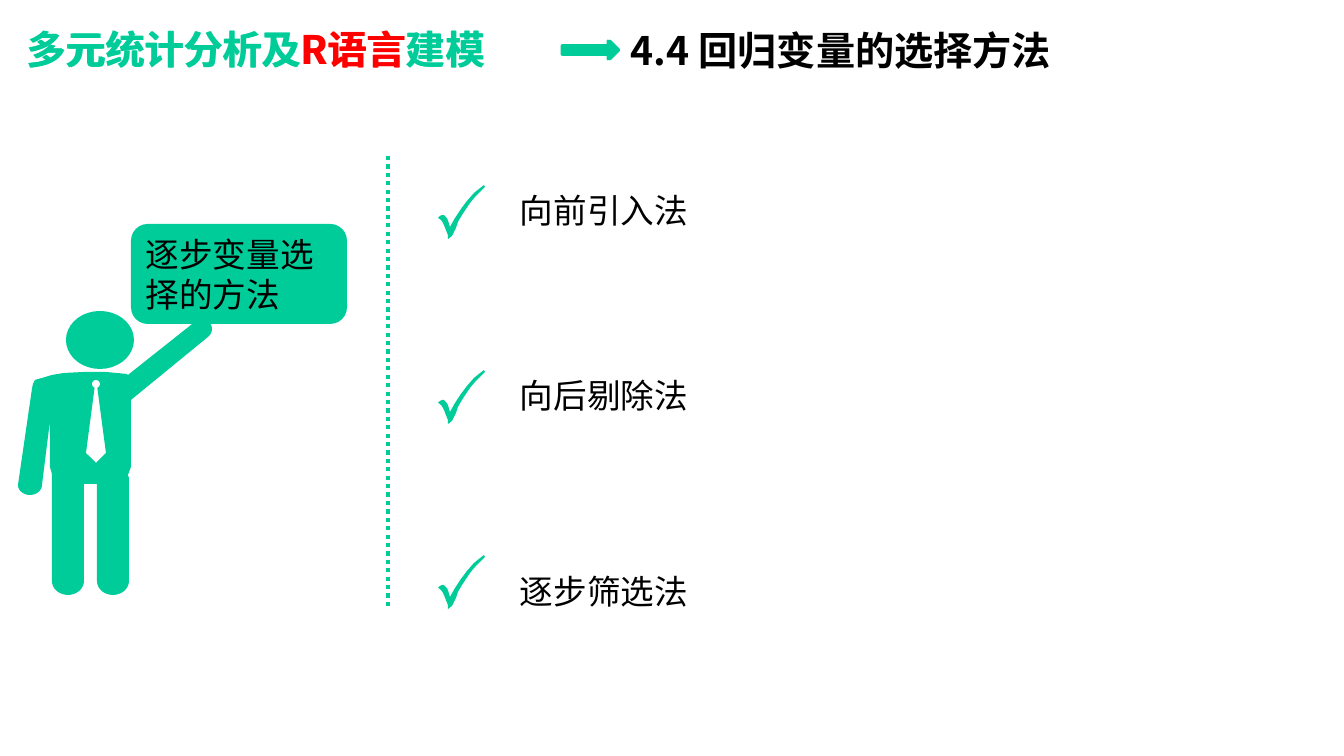
import math
from dataclasses import dataclass

import pptx
import pptx.dml.color
import pptx.enum.dml
import pptx.enum.shapes
import pptx.enum.text
import pptx.oxml
import pptx.oxml.ns
import pptx.util

PX = 914400 / 100.8
FONT = "Noto Sans CJK SC"
GREEN, RED, BLACK = "00CC99", "FF0000", "000000"
SHAPES = pptx.enum.shapes.MSO_SHAPE

Point = tuple[float, float]


@dataclass
class Run:
    text: str
    color: str = BLACK


@dataclass
class Method:
    name: str
    check_top: int
    text_top: int


TITLE = [Run("多元统计分析及", GREEN), Run("R语言", RED), Run("建模", GREEN)]
METHODS = [
    Method("向前引入法", 185, 185),
    Method("向后剔除法", 370, 370),
    Method("逐步筛选法", 555, 566),
]
CHECK_LEFT = 438
CHECK = [
    (46, 0), (47, 2), (42, 7), (37, 12), (32, 18), (28, 24), (24, 30), (20, 37),
    (18, 43), (15, 49), (14, 51), (10, 54), (10, 50), (8, 45), (6, 40), (4, 36),
    (2, 34), (0, 33), (2, 31), (4, 30), (6, 30), (8, 32), (10, 35), (12, 42),
    (17, 33), (23, 24), (29, 16), (36, 8), (41, 4),
]


def px(n: float) -> pptx.util.Emu:
    return pptx.util.Emu(round(n * PX))


def rgb(color: str) -> pptx.dml.color.RGBColor:
    return pptx.dml.color.RGBColor.from_string(color)


def arc(cx: int, cy: int, rx: int, ry: int, start: int, end: int) -> list[Point]:
    """Points along an ellipse; angles in degrees, clockwise from the right."""
    steps = max(1, abs(end - start) // 10)
    angles = [math.radians(start + (end - start) * i / steps) for i in range(steps + 1)]
    return [(cx + rx * math.cos(a), cy + ry * math.sin(a)) for a in angles]


def write(tf, runs: list[Run], size: int, bold: bool = False) -> None:
    p = tf.paragraphs[0]
    p.alignment = pptx.enum.text.PP_ALIGN.LEFT
    for run in runs:
        r = p.add_run()
        r.text = run.text
        r.font.size = pptx.util.Pt(size)
        r.font.bold = bold
        r.font.name = FONT
        r.font.color.rgb = rgb(run.color)
        ea = pptx.oxml.parse_xml(f'<a:ea {pptx.oxml.ns.nsdecls("a")} typeface="{FONT}"/>')
        r.font._element.append(ea)


def add_text(slide, box: tuple[int, int, int, int], runs: list[Run], size: int,
             bold: bool = False, wrap: bool = True) -> None:
    tf = slide.shapes.add_textbox(*map(px, box)).text_frame
    tf.word_wrap = wrap
    tf.auto_size = pptx.enum.text.MSO_AUTO_SIZE.SHAPE_TO_FIT_TEXT
    write(tf, runs, size, bold)


def paint(sp) -> None:
    sp.shadow.inherit = False
    sp.fill.solid()
    sp.fill.fore_color.rgb = rgb(GREEN)
    sp.line.fill.background()


def add_outline(slide, contours: list[list[Point]]) -> None:
    first, *others = [[(px(x), px(y)) for x, y in c] for c in contours]
    fb = slide.shapes.build_freeform(*first[0])
    fb.add_line_segments(first[1:], close=True)
    for points in others:
        fb.move_to(*points[0])
        fb.add_line_segments(points[1:], close=True)
    paint(fb.convert_to_shape())


def add_divider(slide) -> None:
    line = slide.shapes.add_connector(
        pptx.enum.shapes.MSO_CONNECTOR.STRAIGHT, px(388), px(156), px(388), px(609))
    line.line.color.rgb = rgb(GREEN)
    line.line.width = pptx.util.Pt(3)
    line.line.dash_style = pptx.enum.dml.MSO_LINE.ROUND_DOT
    effects = pptx.oxml.parse_xml(f'<a:effectLst {pptx.oxml.ns.nsdecls("a")}/>')
    line._element.spPr.append(effects)


def add_header(slide) -> None:
    # The title and its arrow are doubled with a slight offset
    for title_left, arrow_left in [(17, 562), (18, 564)]:
        add_text(slide, (title_left, 20, 561, 57), TITLE, 28, bold=True)
        sp = slide.shapes.add_shape(
            SHAPES.RIGHT_ARROW, px(arrow_left), px(41), px(55), px(18))
        paint(sp)
        sp.line.color.rgb = rgb(GREEN)
        sp.line.width = pptx.util.Pt(2)
    add_text(slide, (621, 21, 632, 60), [Run("4.4 回归变量的选择方法")], 28, bold=True)


def add_presenter(slide) -> None:
    tie = arc(96, 384, 4, 4, 70, -250) + [(86, 453), (96, 463), (106, 453)]
    body = [
        *arc(202, 329, 10, 10, -130, 50),  # raised hand
        (131, 400), (131, 467), (128, 475), (129, 478),
        *arc(113, 581, 16, 14, 0, 180),  # right foot
        (97, 484), (84, 484),
        *arc(68, 581, 16, 14, 0, 180),  # left foot
        (52, 478), (52, 474), (50, 467), (50, 421),
        *arc(30, 485, 12, 10, 0, 180),  # lowered hand
        (32, 389), (33, 384), (35, 380), (38, 379), (42, 378), (52, 375),
        (64, 373), (84, 372), (106, 372), (127, 374), (128, 375),
    ]
    head = arc(100, 340, 34, 29, 0, 360)
    add_outline(slide, [tie, body, head])


def add_sign(slide) -> None:
    sp = slide.shapes.add_shape(
        SHAPES.ROUNDED_RECTANGLE, px(131), px(224), px(216), px(100))
    paint(sp)
    tf = sp.text_frame
    tf.word_wrap = True
    tf.vertical_anchor = pptx.enum.text.MSO_ANCHOR.MIDDLE
    write(tf, [Run("逐步变量选择的方法")], 24)


def main() -> None:
    prs = pptx.Presentation()
    prs.slide_width, prs.slide_height = px(1344), px(756)
    slide = prs.slides.add_slide(prs.slide_layouts[6])
    add_divider(slide)
    add_header(slide)
    add_presenter(slide)
    add_sign(slide)
    # Checked list of methods
    for method in METHODS:
        add_outline(slide, [[(CHECK_LEFT + x, method.check_top + y) for x, y in CHECK]])
        add_text(slide, (510, method.text_top, 188, 53), [Run(method.name)], 24, wrap=False)
    prs.save("out.pptx")


if __name__ == "__main__":
    main()
